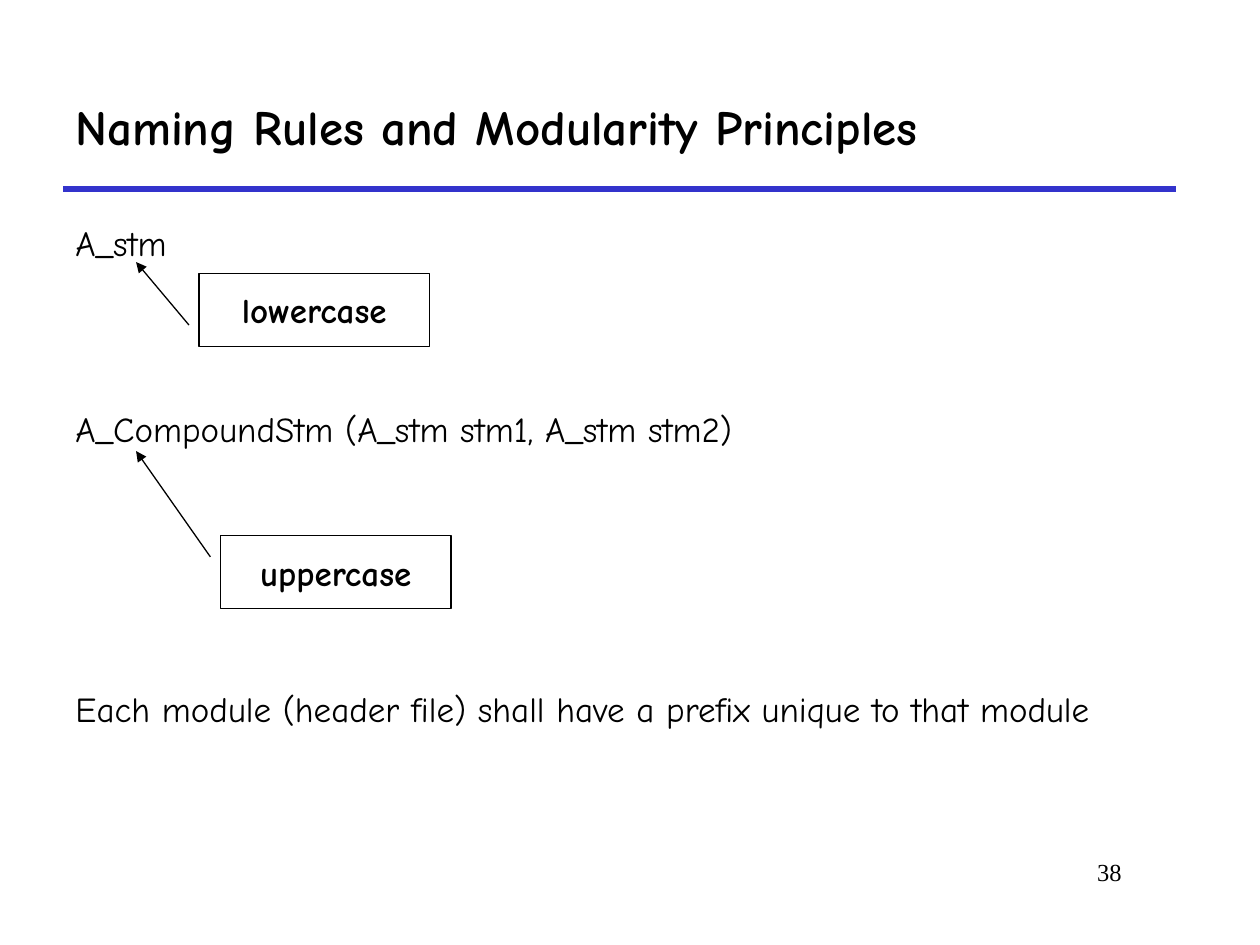
from lxml.etree import SubElement
from pptx import Presentation
from pptx.dml.color import RGBColor
from pptx.enum.shapes import MSO_CONNECTOR, MSO_SHAPE
from pptx.enum.text import MSO_ANCHOR, PP_ALIGN
from pptx.oxml.ns import qn
from pptx.util import Inches, Pt

COLORS = {"text": "000000", "rule": "3333CC", "box": "FFFFFF"}
FONT = "Comic Neue"


def write(paragraph, text, size, bold=False, font=FONT, align=PP_ALIGN.LEFT):
    paragraph.text = text
    paragraph.alignment = align
    paragraph.font.name = font
    paragraph.font.size = Pt(size)
    paragraph.font.bold = bold
    paragraph.font.color.rgb = RGBColor.from_string(COLORS["text"])


def add_line(start, end, color, width, arrow=False):
    line = slide.shapes.add_connector(
        MSO_CONNECTOR.STRAIGHT, *(Inches(value) for value in start + end))
    line.line.color.rgb = RGBColor.from_string(COLORS[color])
    line.line.width = Pt(width)
    if arrow:
        SubElement(line.line._get_or_add_ln(), qn("a:tailEnd"), type="triangle")
    SubElement(line._element.spPr, qn("a:effectLst"))


presentation = Presentation()
presentation.slide_width = Inches(10)
presentation.slide_height = Inches(7.5)
slide = presentation.slides.add_slide(presentation.slide_layouts[6])

# Title, rule and page number
add_line((0.5, 1.5), (9.33, 1.5), "rule", 3)

title = slide.shapes.add_textbox(Inches(0.5), Inches(0.5), Inches(8.83), Inches(1))
title.text_frame.word_wrap = True
title.text_frame.vertical_anchor = MSO_ANCHOR.MIDDLE
write(title.text_frame.paragraphs[0], "Naming Rules and Modularity Principles", 28, bold=True)

number = slide.shapes.add_textbox(Inches(7.58), Inches(6.75), Inches(1.42), Inches(0.5))
number.text_frame.word_wrap = True
write(number.text_frame.paragraphs[0], "38", 14, font="Times New Roman", align=PP_ALIGN.RIGHT)

# Body lines with the space before each, in points
body_lines = [
    ("A_stm", 5),
    ("A_CompoundStm (A_stm stm1, A_stm stm2)", 84.7),
    ("Each module (header file) shall have a prefix unique to that module", 138),
]
body = slide.shapes.add_textbox(Inches(0.5), Inches(1.75), Inches(9.08), Inches(4.83))
body.text_frame.word_wrap = True
for index, (text, space) in enumerate(body_lines):
    paragraph = body.text_frame.paragraphs[0] if index == 0 else body.text_frame.add_paragraph()
    write(paragraph, text, 20)
    paragraph.line_spacing = 0.9
    paragraph.space_before = Pt(space)

# Boxed labels, each with an arrow to the letter it explains
labels = [
    ("lowercase", 1.58, 2.17, (1.5, 2.58), (1.08, 2.08)),
    ("uppercase", 1.75, 4.25, (1.67, 4.42), (1.08, 3.58)),
]
for text, left, top, start, end in labels:
    box = slide.shapes.add_shape(
        MSO_SHAPE.RECTANGLE, Inches(left), Inches(top), Inches(1.83), Inches(0.58))
    box.shadow.inherit = False
    box.fill.solid()
    box.fill.fore_color.rgb = RGBColor.from_string(COLORS["box"])
    box.line.color.rgb = RGBColor.from_string(COLORS["text"])
    box.line.width = Pt(0.75)
    box.text_frame.word_wrap = False
    box.text_frame.vertical_anchor = MSO_ANCHOR.MIDDLE
    write(box.text_frame.paragraphs[0], text, 20, bold=True, align=PP_ALIGN.CENTER)
    add_line(start, end, "text", 0.75, arrow=True)

presentation.save("out.pptx")
